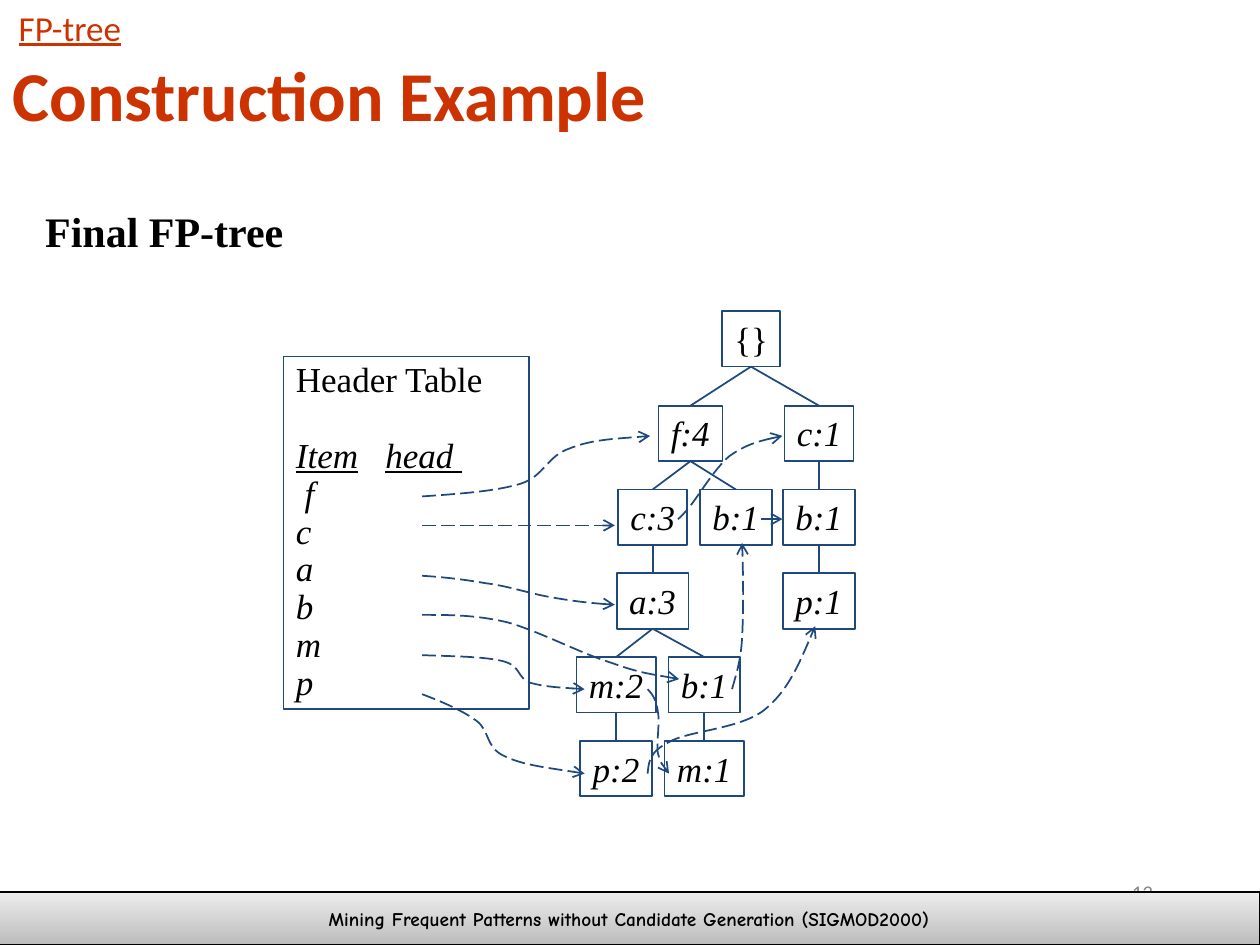
"""Build the final FP-tree slide: header table, prefix tree and dashed node links."""
from lxml.etree import SubElement
from pptx import Presentation
from pptx.dml.color import RGBColor
from pptx.enum.dml import MSO_LINE
from pptx.enum.shapes import MSO_CONNECTOR as Connector, MSO_SHAPE as Shape
from pptx.enum.text import MSO_ANCHOR as Anchor, PP_ALIGN as Align
from pptx.oxml.ns import qn
from pptx.util import Inches, Pt

COLORS = {"title": "CC3300", "text": "000000", "line": "1F497D", "number": "898989",
          "bar_dark": "BCBCBC", "bar_light": "EDEDED"}
SERIF, SANS, COMIC = "Times New Roman", "Calibri", "Comic Neue"

HEADER_COLUMNS = "Item\thead "
HEADER_ITEMS = [" f", "c", "a", "b", "m", "p"]

# name: (label, centre x, level, parent)
NODES = {
    "root": ("{}", 5.96, 0, None),
    "f": ("f:4", 5.48, 1, "root"),
    "c right": ("c:1", 6.5, 1, "root"),
    "c left": ("c:3", 5.18, 2, "f"),
    "b middle": ("b:1", 5.84, 2, "f"),
    "b right": ("b:1", 6.5, 2, "c right"),
    "a": ("a:3", 5.18, 3, "c left"),
    "p right": ("p:1", 6.5, 3, "b right"),
    "m left": ("m:2", 4.89, 4, "a"),
    "b low": ("b:1", 5.59, 4, "a"),
    "p left": ("p:2", 4.89, 5, "m left"),
    "m low": ("m:1", 5.59, 5, "b low"),
}
NODE_WIDTHS = {"{": 0.46, "f": 0.51, "c": 0.55, "a": 0.57, "b": 0.57, "p": 0.57, "m": 0.63}
NODE_HEIGHT, ROOT_TOP, TREE_TOP, LEVEL_STEP = 0.44, 2.47, 3.22, 0.665

STRAIGHT_LINKS = [((3.35, 4.17), (4.88, 4.17)), ((6.04, 4.12), (6.21, 4.12))]
CURVED_LINKS = [
    [(3.35, 3.94), (3.64, 3.92), (3.93, 3.9), (4.13, 3.84), (4.32, 3.78), (4.34, 3.62),
     (4.52, 3.56), (4.69, 3.49), (4.93, 3.48), (5.16, 3.46)],
    [(5.38, 4.12), (5.38, 4.12), (5.39, 4.12), (5.46, 4.04), (5.53, 3.96), (5.67, 3.72),
     (5.79, 3.62), (5.92, 3.53), (6.06, 3.49), (6.21, 3.46)],
    [(3.35, 4.57), (3.52, 4.58), (3.69, 4.6), (3.86, 4.63), (4.03, 4.65), (4.2, 4.71),
     (4.37, 4.74), (4.54, 4.77), (4.71, 4.79), (4.88, 4.8)],
    [(3.35, 4.88), (3.57, 4.88), (3.78, 4.88), (4.03, 4.94), (4.28, 5.01), (4.62, 5.19),
     (4.85, 5.26), (5.07, 5.34), (5.23, 5.36), (5.39, 5.39)],
    [(5.81, 5.47), (5.84, 5.36), (5.88, 5.25), (5.89, 5.06), (5.9, 4.86), (5.9, 4.59),
     (5.89, 4.31)],
    [(3.35, 5.2), (3.6, 5.21), (3.85, 5.21), (4, 5.25), (4.14, 5.29), (4.1, 5.38),
     (4.21, 5.42), (4.32, 5.45), (4.48, 5.46), (4.64, 5.47)],
    [(5.14, 5.47), (5.18, 5.51), (5.21, 5.56), (5.22, 5.64), (5.24, 5.72), (5.21, 5.89),
     (5.22, 5.97), (5.24, 6.05), (5.27, 6.1), (5.31, 6.14)],
    [(3.35, 5.51), (3.51, 5.57), (3.67, 5.64), (3.78, 5.72), (3.89, 5.8), (3.85, 5.93),
     (4, 6), (4.14, 6.07), (4.39, 6.1), (4.64, 6.14)],
    [(5.14, 6.14), (5.15, 6.05), (5.15, 5.97), (5.31, 5.89), (5.46, 5.8), (5.86, 5.79),
     (6.06, 5.64), (6.25, 5.49), (6.36, 5.23), (6.47, 4.97)],
]


def rgb(name):
    return RGBColor.from_string(COLORS[name])


def write(frame, text, size=20, font=SERIF, color="text", bold=False, italic=False,
          underline=False, align=Align.LEFT, anchor=Anchor.TOP, wrap=False, spacing=None,
          before=0, more=False):
    frame.word_wrap, frame.vertical_anchor = wrap, anchor
    paragraph = frame.add_paragraph() if more else frame.paragraphs[0]
    paragraph.alignment, paragraph.line_spacing = align, spacing
    paragraph.space_before = Pt(before)
    run = paragraph.add_run()
    run.text = text
    run.font.size, run.font.name, run.font.color.rgb = Pt(size), font, rgb(color)
    run.font.bold, run.font.italic, run.font.underline = bold, italic, underline
    return paragraph


def add_label(slide, box, text, **style):
    write(slide.shapes.add_textbox(*map(Inches, box)).text_frame, text, **style)


def add_box(slide, box, line="line", width=1):
    shape = slide.shapes.add_shape(Shape.RECTANGLE, *map(Inches, box))
    shape.shadow.inherit = False
    shape.fill.background()
    shape.line.color.rgb, shape.line.width = rgb(line), Pt(width)
    return shape


def add_line(slide, start, end):
    edge = slide.shapes.add_connector(Connector.STRAIGHT, *map(Inches, start + end))
    edge.line.color.rgb, edge.line.width = rgb("line"), Pt(1)
    SubElement(edge._element.spPr, qn("a:effectLst"))
    return edge


def add_curve(slide, points):
    start, *rest = [tuple(map(Inches, point)) for point in points]
    builder = slide.shapes.build_freeform(*start)
    builder.add_line_segments(rest, close=False)
    curve = builder.convert_to_shape()
    outline = next(curve._element.iter(qn("a:path")))
    segments = outline.findall(qn("a:lnTo"))
    for first in range(0, len(segments), 3):
        bezier = SubElement(outline, qn("a:cubicBezTo"))
        for segment in segments[first:first + 3]:
            bezier.append(segment[0])
            outline.remove(segment)
    curve.shadow.inherit = False
    curve.fill.background()
    curve.line.color.rgb, curve.line.width = rgb("line"), Pt(1)
    return curve


def make_link(shape):
    shape.line.dash_style = MSO_LINE.LONG_DASH
    SubElement(shape._element.spPr.find(qn("a:ln")), qn("a:tailEnd"), type="arrow")


def add_footer(slide):
    add_label(slide, (7.17, 6.83, 2.08, 0.5), "13", size=12, font=SANS, color="number",
              align=Align.RIGHT, anchor=Anchor.MIDDLE, wrap=True)
    bar = add_box(slide, (-0.01, 7.08, 10.01, 0.42), "text", 0.75)
    bar.fill.gradient()
    bar.fill.gradient_angle = 90
    for stop, shade in zip(bar.fill.gradient_stops, ("bar_dark", "bar_light")):
        stop.color.rgb = rgb(shade)
    write(bar.text_frame, "Mining Frequent Patterns without Candidate Generation (SIGMOD2000)",
          size=11, font=COMIC, bold=True, align=Align.CENTER, anchor=Anchor.MIDDLE)


def add_tree(slide):
    for label, center, level, parent in NODES.values():
        top = TREE_TOP + (level - 1) * LEVEL_STEP if level else ROOT_TOP
        width = NODE_WIDTHS[label[0]]
        node = add_box(slide, (center - width / 2, top, width, NODE_HEIGHT))
        write(node.text_frame, label, italic=level > 0)
        if parent:
            _, parent_center, parent_level, _ = NODES[parent]
            parent_top = TREE_TOP + (parent_level - 1) * LEVEL_STEP if parent_level else ROOT_TOP
            add_line(slide, (parent_center, parent_top + NODE_HEIGHT), (center, top))


def add_header_table(slide):
    frame = add_box(slide, (2.25, 2.83, 1.95, 2.8)).text_frame
    write(frame, "Header Table", spacing=0.9, wrap=True)
    columns = write(frame, HEADER_COLUMNS, italic=True, underline=True, spacing=0.9,
                    before=21.6, wrap=True, more=True)
    tabs = SubElement(columns._p.get_or_add_pPr(), qn("a:tabLst"))
    SubElement(tabs, qn("a:tab"), pos=str(Inches(0.71)), algn="l")
    for item in HEADER_ITEMS:
        write(frame, item, italic=True, spacing=0.9, wrap=True, more=True)


def main():
    deck = Presentation()
    deck.slide_width, deck.slide_height = Inches(10), Inches(7.5)
    slide = deck.slides.add_slide(deck.slide_layouts[6])
    add_footer(slide)
    add_label(slide, (0, 0.33, 9.75, 0.82), "Construction Example", size=40, font=SANS,
              color="title", bold=True, anchor=Anchor.MIDDLE, wrap=True)
    add_label(slide, (0.05, 0, 1.02, 0.44), "FP-tree", font=SANS, color="title", underline=True)
    add_label(slide, (0.26, 1.58, 2.09, 0.5), "Final FP-tree", size=24, bold=True)
    add_tree(slide)
    add_header_table(slide)
    for start, end in STRAIGHT_LINKS:
        make_link(add_line(slide, start, end))
    for points in CURVED_LINKS:
        make_link(add_curve(slide, points))
    deck.save("out.pptx")


if __name__ == "__main__":
    main()
